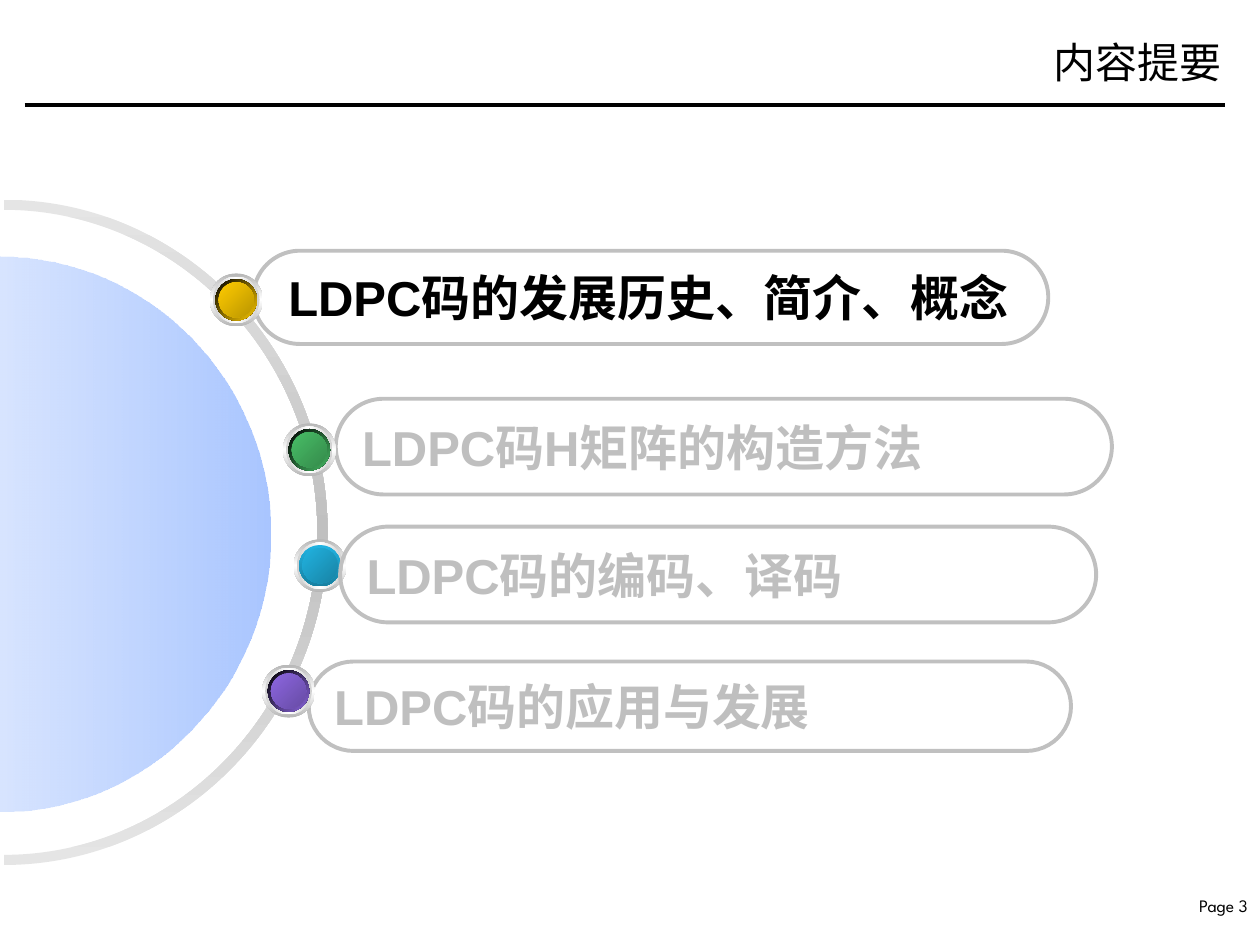
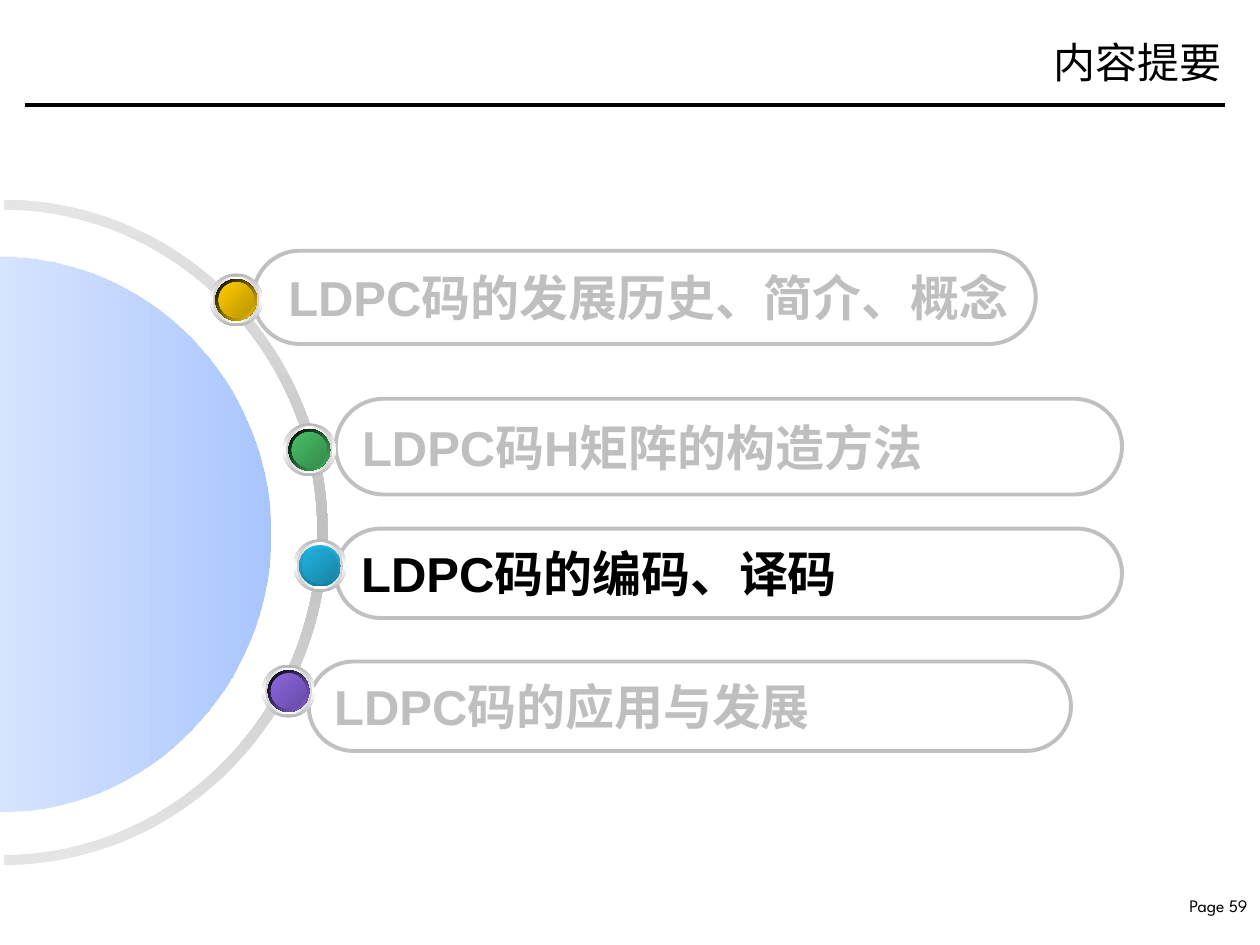
"""Build two agenda slides that highlight different chapters of an LDPC talk."""
from dataclasses import dataclass
from typing import Any, NamedTuple

import lxml.etree
import pptx
import pptx.dml.color
import pptx.enum.shapes
import pptx.enum.text
import pptx.oxml.ns
import pptx.slide
import pptx.util

RGBColor = pptx.dml.color.RGBColor
SHAPES = pptx.enum.shapes.MSO_SHAPE
ALIGN = pptx.enum.text.PP_ALIGN
qn = pptx.oxml.ns.qn

WIDTH, HEIGHT = pptx.util.Inches(10), pptx.util.Inches(7.5)
COLUMN, ROW = WIDTH / 100, HEIGHT / 75
CURVE_REACH = 0.55
POINTS_PER_HALF = 7

BLACK = RGBColor(0x00, 0x00, 0x00)
WHITE = RGBColor(0xFF, 0xFF, 0xFF)
MUTED = RGBColor(0xBF, 0xBF, 0xBF)
SILVER = RGBColor(0xC0, 0xC0, 0xC0)
PALE_GRAY = RGBColor(0xE5, 0xE5, 0xE5)
BEZEL_GRAY = RGBColor(0xB6, 0xB6, 0xB6)
INNER_GRAY = RGBColor(0xD1, 0xD1, 0xD1)
PALE_BLUE = RGBColor(0xB3, 0xCC, 0xFF)
BLUE = RGBColor(0x66, 0x99, 0xFF)
YELLOW, DARK_YELLOW = RGBColor(0xFF, 0xCC, 0x00), RGBColor(0xBA, 0x95, 0x00)
GREEN, DARK_GREEN = RGBColor(0x48, 0xBE, 0x67), RGBColor(0x35, 0x8B, 0x4B)
CYAN, DARK_CYAN = RGBColor(0x21, 0xB3, 0xE1), RGBColor(0x18, 0x83, 0xA4)
RIM_CYAN = RGBColor(0x18, 0x80, 0xA1)
PURPLE, DARK_PURPLE = RGBColor(0x8D, 0x67, 0xE1), RGBColor(0x67, 0x4B, 0xA4)

TITLE_FONT = {"name": "Times New Roman", "size": pptx.util.Pt(24)}
PAGE_FONT = {"name": "League Spartan", "size": pptx.util.Pt(10)}
CHAPTER_FONT = {"name": "Arial", "size": pptx.util.Pt(28), "bold": True}


class Area(NamedTuple):
    """Left, top, width and height in grid columns and rows."""
    left: float
    top: float
    width: float
    height: float

    def lengths(self) -> tuple[int, int, int, int]:
        """Return the area in slide units."""
        return (round(self.left * COLUMN), round(self.top * ROW),
                round(self.width * COLUMN), round(self.height * ROW))


class Stop(NamedTuple):
    """One gradient stop, with percentages for place and opacity."""
    place: int
    color: RGBColor
    opacity: int = 100


class Gradient(NamedTuple):
    """Gradient stops and a clockwise angle."""
    stops: tuple[Stop, ...]
    angle: int


class HalfEllipse(NamedTuple):
    """Right half of an ellipse that is centred near the slide's left edge."""
    column: float
    row: float
    across: float
    down: float

    def points(self) -> list[tuple[int, int]]:
        """Return the ends and controls of two curves from top to bottom."""
        shares = ((0, -1), (CURVE_REACH, -1), (1, -CURVE_REACH), (1, 0),
                  (1, CURVE_REACH), (CURVE_REACH, 1), (0, 1))
        return [(round((self.column + self.across * right) * COLUMN),
                 round((self.row + self.down * below) * ROW))
                for right, below in shares]


@dataclass(frozen=True)
class Knob:
    """A round coloured button on the arc."""
    column: float
    row: float
    color: RGBColor
    shade: RGBColor
    rim: Gradient


@dataclass(frozen=True)
class Pill:
    """A chapter heading in a rounded outline."""
    text: str
    area: Area
    color: RGBColor = MUTED
    inset: float = 1
    in_front: bool = False


@dataclass(frozen=True)
class Agenda:
    """One agenda slide."""
    page_label: str
    pills: tuple[Pill, ...]


def blend(first: RGBColor, last: RGBColor, angle: int) -> Gradient:
    """Return a gradient between two colours."""
    return Gradient((Stop(0, first), Stop(100, last)), angle)


def mirror(edge: RGBColor, middle: RGBColor, angle: int) -> Gradient:
    """Return a gradient that is the same at both ends."""
    return Gradient((Stop(0, edge), Stop(50, middle), Stop(100, edge)), angle)


ARC_OUTER = HalfEllipse(0.3, 42.25, 25.7, 26.4)
ARC_INNER = HalfEllipse(0.3, 42.25, 24.9, 25.6)
DISC = HalfEllipse(0, 42.4, 21.5, 22)
ARC_FILL = mirror(PALE_GRAY, SILVER, 90)
DISC_FILL = Gradient((Stop(0, PALE_BLUE, 52), Stop(100, BLUE, 56)), 0)

KNOBS = (
    Knob(18.75, 23.8, YELLOW, DARK_YELLOW, blend(BLACK, YELLOW, 45)),
    Knob(24.55, 35.7, GREEN, DARK_GREEN, blend(BLACK, GREEN, 45)),
    Knob(25.4, 44.9, CYAN, DARK_CYAN, blend(CYAN, RIM_CYAN, 90)),
    Knob(22.9, 54.85, PURPLE, DARK_PURPLE, blend(BLACK, PURPLE, 45)),
)

HISTORY = "LDPC码的发展历史、简介、概念"
MATRIX = "LDPC码H矩阵的构造方法"
CODING = "LDPC码的编码、译码"
OUTLOOK_PILL = Pill("LDPC码的应用与发展", Area(24.5, 52.5, 60.5, 7.1))

AGENDAS = (
    Agenda("Page 3", (
        OUTLOOK_PILL,
        Pill(MATRIX, Area(26.65, 31.65, 61.6, 7.6)),
        Pill(HISTORY, Area(20.1, 19.9, 63.1, 7.4), BLACK, 1.7),
        Pill(CODING, Area(27, 41.8, 60, 7.6), in_front=True),
    )),
    Agenda("Page 59", (
        OUTLOOK_PILL,
        Pill(CODING, Area(26.65, 41.95, 62.4, 7.1), BLACK),
        Pill(MATRIX, Area(26.65, 31.65, 62.4, 7.6)),
        Pill(HISTORY, Area(20.1, 19.9, 62.1, 7.4), inset=1.7),
    )),
)


def apply(target: Any, values: dict[str, Any]) -> None:
    """Set each named format value on the target."""
    for name, value in values.items():
        setattr(target, name, value)


def paint(shape: Any, gradient: Gradient) -> None:
    """Fill a shape with a gradient and remove its line and shadow."""
    shape.shadow.inherit = False
    shape.line.fill.background()
    shape.fill.gradient()
    shape.fill.gradient_angle = -gradient.angle % 360
    stop_list = shape.element.spPr.find(qn("a:gradFill")).find(qn("a:gsLst"))
    for child in list(stop_list):
        stop_list.remove(child)
    for stop in gradient.stops:
        node = lxml.etree.SubElement(stop_list, qn("a:gs"), pos=str(stop.place * 1000))
        color = lxml.etree.SubElement(node, qn("a:srgbClr"), val=str(stop.color))
        if stop.opacity < 100:
            lxml.etree.SubElement(color, qn("a:alpha"), val=str(stop.opacity * 1000))


def write(box: Any, text: str, font: dict[str, Any], color: RGBColor,
          alignment: Any, frame: dict[str, Any]) -> None:
    """Put one formatted line of text in a box."""
    apply(box.text_frame, {"vertical_anchor": pptx.enum.text.MSO_ANCHOR.MIDDLE, **frame})
    para = box.text_frame.paragraphs[0]
    para.alignment = alignment
    span = para.add_run()
    span.text = text
    apply(span.font, font)
    span.font.color.rgb = color


def draw_frame(page: pptx.slide.Slide, page_label: str) -> None:
    """Draw the page label, the rule and the title."""
    label = page.shapes.add_textbox(*Area(92, 70.6, 8, 2.6).lengths())
    write(label, page_label, PAGE_FONT, BLACK, ALIGN.RIGHT, {"word_wrap": False})
    left, top, width, _ = Area(1.95, 8.35, 95.3, 0).lengths()
    rule = page.shapes.add_connector(
        pptx.enum.shapes.MSO_CONNECTOR.STRAIGHT, left, top, left + width, top)
    rule.line.color.rgb = BLACK
    rule.line.width = pptx.util.Pt(2)
    lxml.etree.SubElement(rule.element.spPr, qn("a:effectLst"))
    title = page.shapes.add_textbox(*Area(72.75, 1.15, 25.15, 7.5).lengths())
    write(title, "内容提要", TITLE_FONT, BLACK, ALIGN.RIGHT, {"word_wrap": True})


def draw_outline(page: pptx.slide.Slide, points: list[tuple[int, int]],
                 gradient: Gradient) -> None:
    """Draw a closed outline of half ellipses with a gradient fill."""
    builder = page.shapes.build_freeform(*points[0])
    builder.add_line_segments(points[1:], close=True)
    shape = builder.convert_to_shape()
    outline = next(shape.element.spPr.iter(qn("a:path")))
    steps = list(outline)
    for number in range(len(points)):
        if number % POINTS_PER_HALF in (1, 4):
            curve = steps[number]
            curve.tag = qn("a:cubicBezTo")
            for step in steps[number + 1:number + 3]:
                curve.append(step[0])
                outline.remove(step)
    paint(shape, gradient)


def draw_pill(page: pptx.slide.Slide, pill: Pill) -> None:
    """Draw one chapter heading."""
    box = page.shapes.add_shape(SHAPES.ROUNDED_RECTANGLE, *pill.area.lengths())
    box.adjustments[0] = 0.5
    box.shadow.inherit = False
    box.fill.background()
    box.line.color.rgb = SILVER
    box.line.width = pptx.util.Pt(2.25)
    write(box, pill.text, CHAPTER_FONT, pill.color, ALIGN.LEFT,
          {"word_wrap": False, "margin_left": round(pill.inset * COLUMN)})


def draw_knob(page: pptx.slide.Slide, knob: Knob) -> None:
    """Draw the concentric rings of a knob as a group."""
    group = page.shapes.add_group_shape()
    rings = (
        (4.2, mirror(BEZEL_GRAY, WHITE, 90)),
        (3.7, mirror(INNER_GRAY, WHITE, 0)),
        (3.3, knob.rim),
        (2.8, blend(knob.color, knob.shade, 45)),
    )
    for size, gradient in rings:
        area = Area(knob.column - size / 2, knob.row - size / 2, size, size)
        paint(group.shapes.add_shape(SHAPES.OVAL, *area.lengths()), gradient)


def draw_agenda(page: pptx.slide.Slide, agenda: Agenda) -> None:
    """Draw a whole agenda slide from back to front."""
    draw_frame(page, agenda.page_label)
    draw_outline(page, ARC_OUTER.points() + ARC_INNER.points()[::-1], ARC_FILL)
    draw_outline(page, DISC.points(), DISC_FILL)
    for pill in agenda.pills:
        if not pill.in_front:
            draw_pill(page, pill)
    for knob in KNOBS:
        draw_knob(page, knob)
    for pill in agenda.pills:
        if pill.in_front:
            draw_pill(page, pill)


def main() -> None:
    """Build and save the deck."""
    deck = pptx.Presentation()
    apply(deck, {"slide_width": WIDTH, "slide_height": HEIGHT})
    for agenda in AGENDAS:
        draw_agenda(deck.slides.add_slide(deck.slide_layouts[6]), agenda)
    deck.save("out.pptx")


if __name__ == "__main__":
    main()
